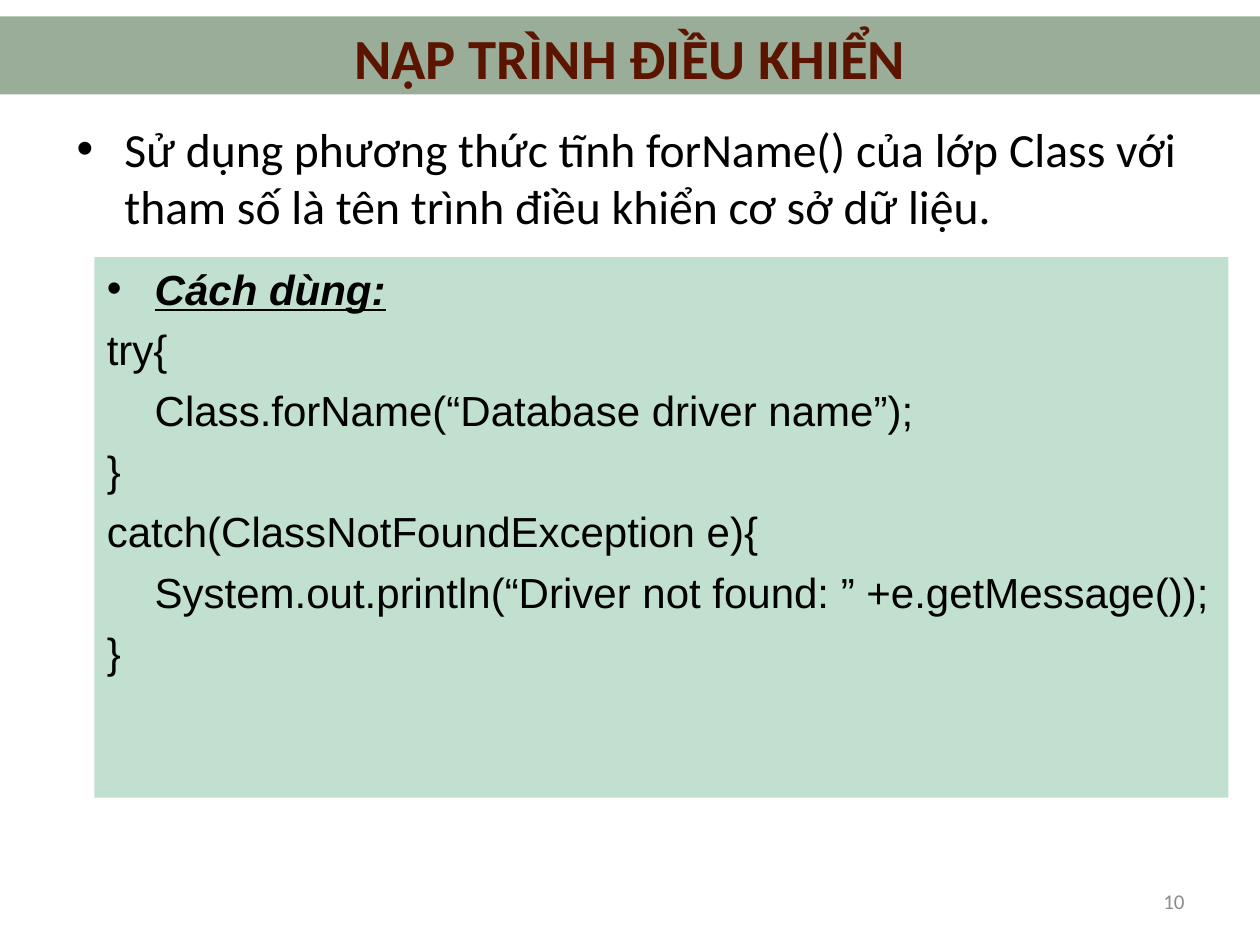
import pptx
import pptx.util
import pptx.dml.color
import pptx.enum.shapes
import pptx.enum.text
import pptx.oxml
import pptx.oxml.ns
from lxml import etree

Inches, Pt = pptx.util.Inches, pptx.util.Pt
ALIGN, ANCHOR = pptx.enum.text.PP_ALIGN, pptx.enum.text.MSO_ANCHOR

# Content
TITLE = "NẠP TRÌNH ĐIỀU KHIỂN"
INTRO = ("Sử dụng phương thức tĩnh forName() của lớp Class với "
         "tham số là tên trình điều khiển cơ sở dữ liệu.")
USAGE = "Cách dùng:"
CODE = [
    "try{",
    "\tClass.forName(“Database driver name”);",
    "}",
    "catch(ClassNotFoundException e){",
    "\tSystem.out.println(“Driver not found: ” +e.getMessage());",
    "}",
]
PAGE = "10"
INDENT = 0.38


def rgb(value):
    return pptx.dml.color.RGBColor.from_string(value)


def add_text(box, lines, size, font, color="000000", align=ALIGN.LEFT, anchor=ANCHOR.TOP):
    tf = box.text_frame
    tf.word_wrap = True
    tf.vertical_anchor = anchor
    tf.text = "\n".join(lines)
    for p in tf.paragraphs:
        p.alignment = align
        for r in p.runs:
            r.font.size, r.font.name = Pt(size), font
            r.font.color.rgb = rgb(color)
    return tf.paragraphs


def add_box(at):
    return slide.shapes.add_textbox(*map(Inches, at))


def add_panel(at, color, opacity):
    sp = slide.shapes.add_shape(pptx.enum.shapes.MSO_SHAPE.RECTANGLE, *map(Inches, at))
    sp.shadow.inherit = False
    sp.line.fill.background()
    sp.fill.solid()
    sp.fill.fore_color.rgb = rgb(color)
    clr = sp.fill._xPr.find(".//" + pptx.oxml.ns.qn("a:srgbClr"))
    etree.SubElement(clr, pptx.oxml.ns.qn("a:alpha")).set("val", str(opacity * 1000))
    return sp


def hang(p, before, bullet=False):
    p.space_before = Pt(before)
    pPr = p._p.get_or_add_pPr()
    pPr.set("marL", str(Inches(INDENT)))
    pPr.set("indent", str(-Inches(INDENT)))
    if bullet:
        etree.SubElement(pPr, pptx.oxml.ns.qn("a:buFont")).set("typeface", "Arial")
        etree.SubElement(pPr, pptx.oxml.ns.qn("a:buChar")).set("char", "•")
    else:
        etree.SubElement(pPr, pptx.oxml.ns.qn("a:buNone"))


prs = pptx.Presentation()
prs.slide_width, prs.slide_height = Inches(10), Inches(7.5)
slide = prs.slides.add_slide(prs.slide_layouts[6])

# Title, introduction and page number
title, = add_text(add_box((0, 0.24, 10, 0.42)), [TITLE], 32.4, "Calibri", "990000",
                  ALIGN.CENTER, ANCHOR.MIDDLE)
title.runs[0].font.bold = True
intro, = add_text(add_box((0.51, 0.9, 9, 0.92)), [INTRO], 27.2, "Calibri")
hang(intro, 6.5, bullet=True)
add_text(add_box((7.17, 6.95, 2.33, 0.4)), [PAGE], 12, "Calibri", "8C8C8C",
         ALIGN.RIGHT, ANCHOR.MIDDLE)

# Translucent band over the title
add_panel((0, 0.13, 10, 0.62), "003300", 40)

# Code panel
panel = add_panel((0.75, 2.04, 9, 4.29), "339966", 30)
lines = add_text(panel, [USAGE] + CODE, 24, "Arial")
for i, p in enumerate(lines):
    hang(p, 5.8, bullet=i == 0)
heading = lines[0].runs[0].font
heading.bold = heading.italic = heading.underline = True

prs.save("out.pptx")
